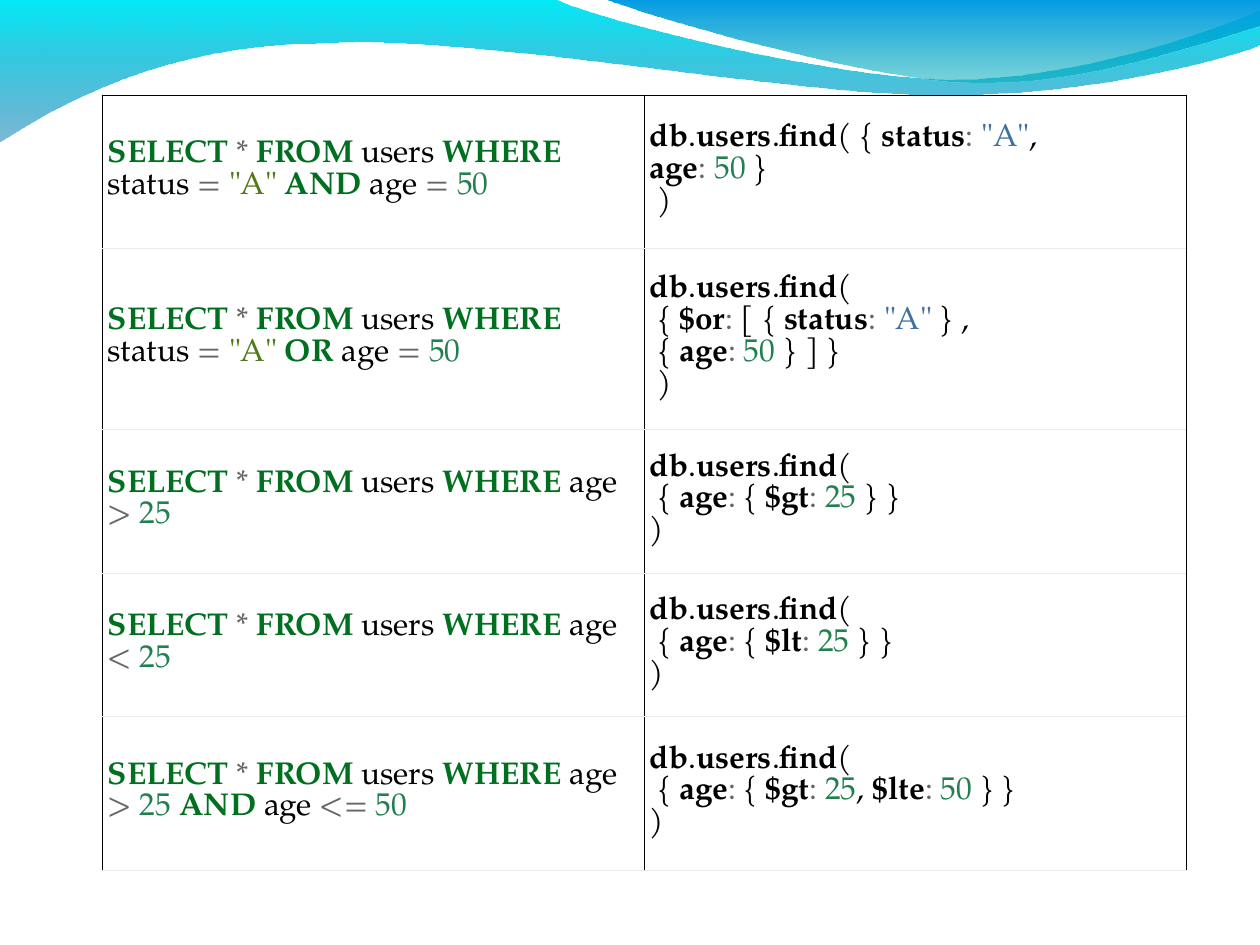
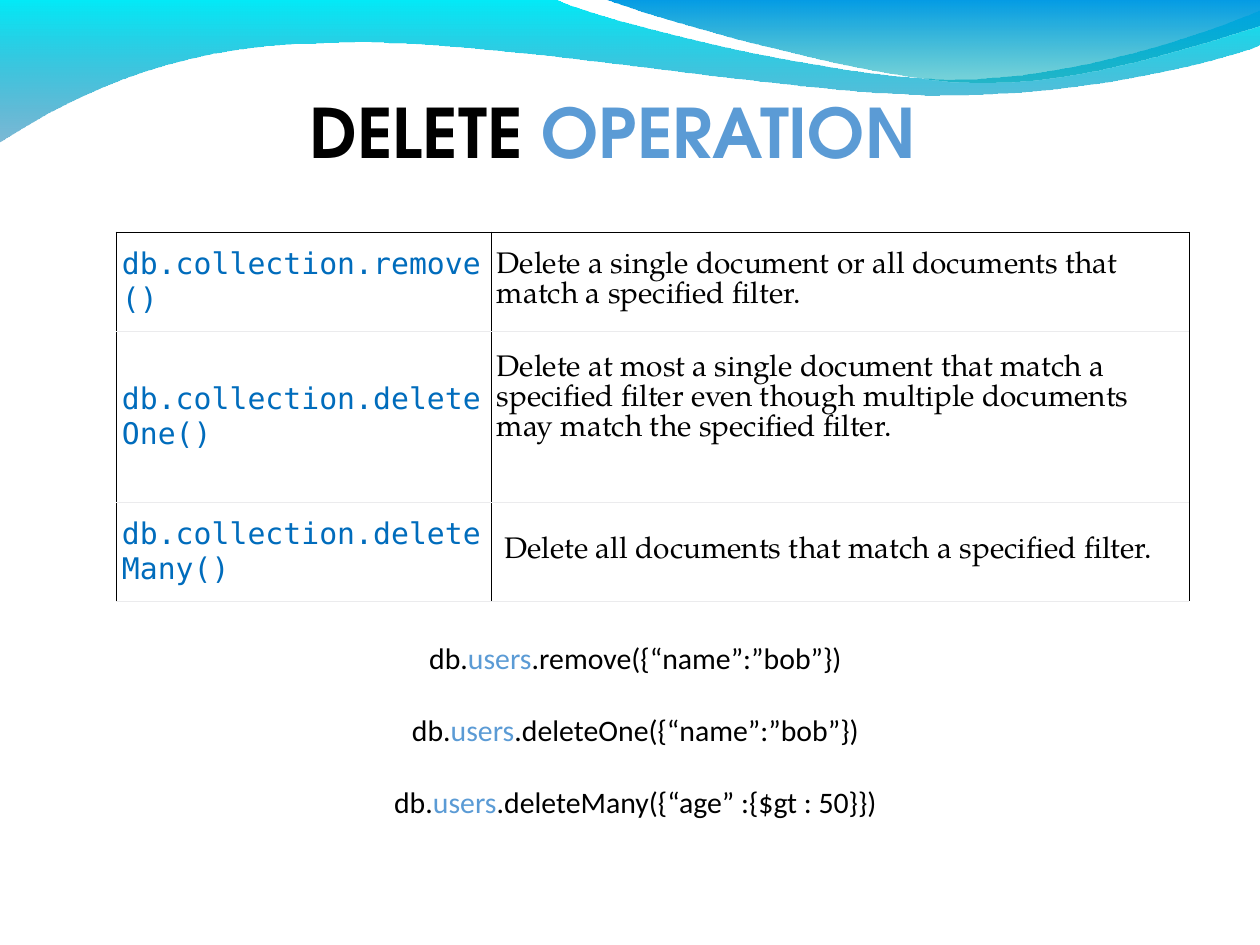
from dataclasses import dataclass
from itertools import groupby

from lxml import etree
from pptx import Presentation
from pptx.dml.color import RGBColor
from pptx.enum.text import MSO_ANCHOR, MSO_AUTO_SIZE, PP_ALIGN
from pptx.oxml.ns import qn
from pptx.util import Inches, Pt

TOP, MIDDLE = MSO_ANCHOR.TOP, MSO_ANCHOR.MIDDLE
LEFT, CENTER = PP_ALIGN.LEFT, PP_ALIGN.CENTER
NO_AUTOFIT = MSO_AUTO_SIZE.NONE
TITLE_ONLY, BLANK = 5, 6
SCALE = Inches(1) / 126


@dataclass(frozen=True)
class Theme:
    """Colours, fonts and type sizes of the deck."""
    ink: str = "000000"
    paper: str = "FFFFFF"
    rule: str = "EBEBED"
    accent: str = "5B9BD5"
    method: str = "006CBC"
    keyword: str = "007020"
    sign: str = "666666"
    number: str = "208050"
    sql_string: str = "517918"
    document_string: str = "4070A0"
    wide_wave: tuple = ("00EBF8", "0079AF")
    short_wave: tuple = ("009BE5", "00ADB6")
    title_font: str = "TeX Gyre Adventor"
    serif: str = "TeX Gyre Pagella"
    mono: str = "DejaVu Sans Mono"
    sans: str = "Calibri"
    title_size: int = 39
    query_size: int = 18
    body_size: int = 17
    frame_width: float = 0.45
    rule_width: float = 0.34


THEME = Theme()
SQL_KEYWORDS = {"SELECT", "FROM", "WHERE", "AND", "OR"}

WIDE_WAVE = [
    [(0, -1)],
    [(554, -1)],
    [(600, 21), (837, 79), (955, 79)],
    [(1075, 79), (1207, 33), (1260, 11)],
    [(1261, 45)],
    [(1239, 55), (1096, 96), (940, 95)],
    [(784, 95), (481, 35), (324, 43)],
    [(163, 44), (58, 105), (-1, 142)],
]
SHORT_WAVE = [
    [(604, -1)],
    [(641, 14), (859, 78), (969, 82)],
    [(1079, 87), (1211, 40), (1260, 26)],
    [(1260, 0)],
]

QUERIES = [
    ('SELECT * FROM users WHERE status = "A" AND age = 50',
     ['db.users.find( { status: "A",', "age: 50 }", " )"]),
    ('SELECT * FROM users WHERE status = "A" OR age = 50',
     ["db.users.find(", ' { $or: [ { status: "A" } ,', " { age: 50 } ] }", " )"]),
    ("SELECT * FROM users WHERE age > 25",
     ["db.users.find(", " { age: { $gt: 25 } }", ")"]),
    ("SELECT * FROM users WHERE age < 25",
     ["db.users.find(", " { age: { $lt: 25 } }", ")"]),
    ("SELECT * FROM users WHERE age > 25 AND age <= 50",
     ["db.users.find(", " { age: { $gt: 25, $lte: 50 } }", ")"]),
]
METHODS = [
    ("db.collection.remove()",
     "Delete a single document or all documents that match a specified filter."),
    ("db.collection.deleteOne()",
     "Delete at most a single document that match a specified filter even though "
     "multiple documents may match the specified filter."),
    ("db.collection.deleteMany()",
     " Delete all documents that match a specified filter."),
]
EXAMPLES = [
    ".remove({“name”:”bob”})",
    ".deleteOne({“name”:”bob”})",
    ".deleteMany({“age” :{$gt : 50}})",
]


def px(length):
    """Turn a length in px into EMU."""
    return round(length * SCALE)


def add_span(para, text, *, size=THEME.body_size, font=THEME.serif, color=THEME.ink, bold=False):
    """Add a formatted run to a paragraph."""
    span = para.add_run()
    span.text = text
    span.font.size = Pt(size)
    span.font.name = font
    span.font.bold = bold
    span.font.color.rgb = RGBColor.from_string(color)


def fill_frame(frame, lines, align=LEFT, gap=0):
    """Write lines, each a list of (text, format) pairs, as paragraphs."""
    frame.word_wrap = True
    for index, spans in enumerate(lines):
        para = frame.add_paragraph() if index else frame.paragraphs[0]
        para.alignment = align
        para.space_after = Pt(gap)
        for text, style in spans:
            add_span(para, text, **style)


def character_class(character):
    """Sort a character of code into word, sign or plain."""
    if character.isalnum() or character in '$"':
        return "word"
    return "sign" if character in "*=<>:" else "plain"


def token_style(token, kind, is_sql):
    """Choose colour and weight for one token of code."""
    if kind == "sign":
        return {"color": THEME.sign}
    if kind == "plain":
        return {}
    if token.isdigit():
        return {"color": THEME.number}
    if token.startswith('"'):
        return {"color": THEME.sql_string if is_sql else THEME.document_string}
    if is_sql:
        return {"color": THEME.keyword, "bold": True} if token in SQL_KEYWORDS else {}
    return {"bold": True}


def highlight(code, is_sql=False):
    """Split a line of code into coloured spans."""
    spans = []
    for kind, characters in groupby(code, character_class):
        token = "".join(characters)
        spans.append((token, {"size": THEME.query_size, **token_style(token, kind, is_sql)}))
    return spans


def add_wave(page, segments, colors):
    """Draw a closed curved outline with a gradient that fades downwards."""
    points = [point for segment in segments for point in segment]
    builder = page.shapes.build_freeform(*points[0], scale=SCALE)
    builder.add_line_segments(points[1:], close=True)
    wave = builder.convert_to_shape()
    nodes = iter(list(wave._element.iter(qn("a:lnTo"))))
    for segment in segments[1:]:
        steps = [next(nodes) for _ in segment]
        if len(steps) == 3:
            curve = etree.SubElement(steps[0].getparent(), qn("a:cubicBezTo"))
            steps[0].addprevious(curve)
            for step in steps:
                curve.append(step[0])
                step.getparent().remove(step)
    wave.shadow.inherit = False
    wave.line.fill.background()
    wave.fill.gradient()
    wave.fill.gradient_angle = 270
    for stop, color in zip(wave.fill.gradient_stops, colors):
        stop.color.rgb = RGBColor.from_string(color)
    last_color = list(wave._element.iter(qn("a:srgbClr")))[-1]
    etree.SubElement(last_color, qn("a:alpha"), val="51000")
    return wave


def add_master_waves(deck, page):
    """Build the two waves and place them at the back of the slide master."""
    tree = deck.slide_master.shapes._spTree
    for index, (segments, colors) in enumerate(
            [(WIDE_WAVE, THEME.wide_wave), (SHORT_WAVE, THEME.short_wave)]):
        element = add_wave(page, segments, colors)._element
        element.nvSpPr.cNvPr.set("id", str(100 + index))
        tree.insert(2 + index, element)


def set_border(cell, side, color, width):
    """Draw one side of a table cell."""
    line = etree.SubElement(cell._tc.get_or_add_tcPr(), qn(f"a:ln{side}"), w=str(Pt(width)))
    fill = etree.SubElement(line, qn("a:solidFill"))
    etree.SubElement(fill, qn("a:srgbClr"), val=color)


def format_cell(cell, is_first_row):
    """Give a cell its borders, white fill, margins and anchor."""
    frame_line = (THEME.ink, THEME.frame_width)
    row_line = (THEME.rule, THEME.rule_width)
    top_line = frame_line if is_first_row else row_line
    for side, line in zip("LRTB", (frame_line, frame_line, top_line, row_line)):
        set_border(cell, side, *line)
    cell.fill.solid()
    cell.fill.fore_color.rgb = RGBColor.from_string(THEME.paper)
    cell.margin_left = cell.margin_right = cell.margin_top = cell.margin_bottom = px(6)
    cell.vertical_anchor = MIDDLE


def add_grid(page, left, top, widths, heights, rows):
    """Add a table whose rows hold lists of lines for each cell."""
    table = page.shapes.add_table(
        len(heights), len(widths), px(left), px(top), px(sum(widths)), px(sum(heights))).table
    table.first_row = table.horz_banding = False
    for column, width in zip(table.columns, widths):
        column.width = px(width)
    for index, (height, row) in enumerate(zip(heights, rows)):
        table.rows[index].height = px(height)
        for cell, lines in zip(table.rows[index].cells, row):
            format_cell(cell, index == 0)
            fill_frame(cell.text_frame, lines)
    return table


def set_title(page, spans):
    """Place and format the title placeholder."""
    title = page.shapes.title
    title.left, title.top, title.width, title.height = px(297), px(84), px(832), px(95)
    title.text_frame.auto_size = NO_AUTOFIT
    title.text_frame.vertical_anchor = TOP
    style = {"size": THEME.title_size, "font": THEME.title_font, "bold": True}
    fill_frame(title.text_frame, [[(text, {**style, "color": color}) for text, color in spans]])


def add_examples(page):
    """Add the centred sample calls below the table."""
    box = page.shapes.add_textbox(px(110), px(634), px(1051), px(192))
    plain = {"font": THEME.sans}
    lines = [[("db.", plain), ("users", {**plain, "color": THEME.accent}), (call, plain)]
             for call in EXAMPLES]
    fill_frame(box.text_frame, lines, align=CENTER, gap=20.5)


def build_queries(page):
    """Fill the page that compares SQL with document queries."""
    rows = [([highlight(sql, is_sql=True)], [highlight(line) for line in calls])
            for sql, calls in QUERIES]
    add_grid(page, 102, 95, [542, 542], [153, 181, 144, 143, 154], rows)


def build_delete(page):
    """Fill the page on the delete operation."""
    set_title(page, [("DELETE ", THEME.ink), ("OPERATION", THEME.accent)])
    method_style = {"font": THEME.mono, "color": THEME.method}
    rows = [([[(method, method_style)]], [[(meaning, {})]]) for method, meaning in METHODS]
    table = add_grid(page, 116, 232, [375, 698], [99, 171, 99], rows)
    table.cell(1, 1).margin_bottom = px(40)
    add_examples(page)


def main():
    """Build and save the deck."""
    deck = Presentation()
    deck.slide_width, deck.slide_height = px(1260), px(945)
    query_page = deck.slides.add_slide(deck.slide_layouts[BLANK])
    add_master_waves(deck, query_page)
    build_queries(query_page)
    build_delete(deck.slides.add_slide(deck.slide_layouts[TITLE_ONLY]))
    deck.save("out.pptx")


if __name__ == "__main__":
    main()
